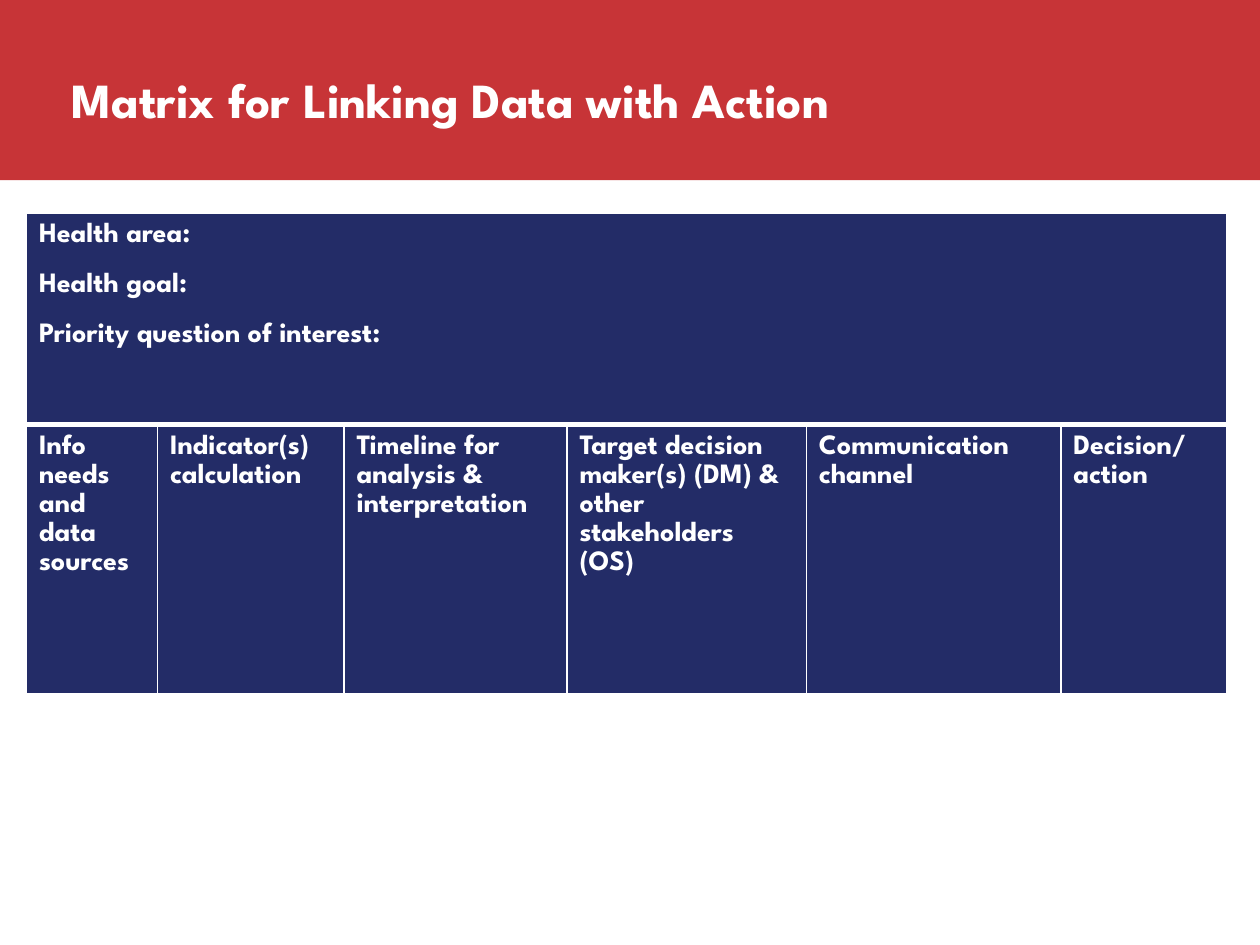
from lxml import etree
from pptx import Presentation
from pptx.dml.color import RGBColor
from pptx.enum.shapes import MSO_SHAPE
from pptx.enum.text import MSO_ANCHOR
from pptx.oxml.ns import qn
from pptx.util import Pt

RECTANGLE = MSO_SHAPE.RECTANGLE
MIDDLE = MSO_ANCHOR.MIDDLE

FONT = "League Spartan"
COLORS = {"red": "C73437", "navy": "232C67", "white": "FFFFFF"}

TITLE = "Matrix for Linking Data with Action"
TOPICS = ["Health area:", "Health goal:", "Priority question of interest:"]
HEADINGS = [
    "Info needs and data sources",
    "Indicator(s) calculation",
    "Timeline for analysis & interpretation",
    "Target decision maker(s) (DM) & other stakeholders (OS)",
    "Communication channel",
    "Decision/ action",
]
COLUMN_WIDTHS = [74.9, 106.6, 127.4, 136.8, 145.4, 95]
ROW_HEIGHTS = [121, 154.8]


def color(name):
    return RGBColor.from_string(COLORS[name])


def write(text_frame, lines, size, **paragraph_format):
    for index, line in enumerate(lines):
        paragraph = text_frame.paragraphs[0] if index == 0 else text_frame.add_paragraph()
        for name, value in paragraph_format.items():
            setattr(paragraph, name, value)
        run = paragraph.add_run()
        run.text = line
        for name, value in {"name": FONT, "size": Pt(size), "bold": True}.items():
            setattr(run.font, name, value)
        run.font.color.rgb = color("white")


def add_banner(slide, left, top, width, height):
    banner = slide.shapes.add_shape(RECTANGLE, Pt(left), Pt(top), Pt(width), Pt(height))
    banner.shadow.inherit = False
    banner.fill.solid()
    banner.fill.fore_color.rgb = color("red")
    banner.line.fill.background()

    title = slide.shapes.add_textbox(Pt(left + 48.2), Pt(top + 13), Pt(611.3), Pt(90))
    title.text_frame.word_wrap = True
    title.text_frame.vertical_anchor = MIDDLE
    write(title.text_frame, [TITLE], 28)


def style_cell(cell, border_widths):
    properties = cell._tc.get_or_add_tcPr()
    for side, width in border_widths.items():
        border = etree.SubElement(properties, qn(f"a:ln{side}"), w=str(Pt(width)))
        fill = etree.SubElement(border, qn("a:solidFill"))
        etree.SubElement(fill, qn("a:srgbClr"), val=COLORS["white"])
    cell.fill.solid()
    cell.fill.fore_color.rgb = color("navy")


def add_matrix(slide, left, top):
    frame = slide.shapes.add_table(
        len(ROW_HEIGHTS), len(COLUMN_WIDTHS), Pt(left), Pt(top),
        Pt(sum(COLUMN_WIDTHS)), Pt(sum(ROW_HEIGHTS)))
    table = frame.table
    table.first_row = table.horz_banding = False
    for column, width in zip(table.columns, COLUMN_WIDTHS):
        column.width = Pt(width)
    for row, height in zip(table.rows, ROW_HEIGHTS):
        row.height = Pt(height)

    for column in range(len(COLUMN_WIDTHS)):
        style_cell(table.cell(0, column), {"L": 1, "R": 1, "T": 1, "B": 3})
        style_cell(table.cell(1, column), {"L": 1, "R": 1, "T": 3, "B": 3})

    topic_cell = table.cell(0, 0)
    topic_cell.merge(table.cell(0, len(COLUMN_WIDTHS) - 1))
    write(topic_cell.text_frame, TOPICS, 16,
          line_spacing=1.14, space_before=Pt(6), space_after=Pt(6))
    for column, heading in enumerate(HEADINGS):
        write(table.cell(1, column).text_frame, [heading], 16,
              line_spacing=1.14, space_before=Pt(3), space_after=Pt(3))


def main():
    presentation = Presentation()
    presentation.slide_width = Pt(720)
    presentation.slide_height = Pt(540)
    slide = presentation.slides.add_slide(presentation.slide_layouts[6])
    add_banner(slide, -14.4, -1.5, 739.4, 104.4)
    add_matrix(slide, 15.1, 121.7)
    presentation.save("out.pptx")


if __name__ == "__main__":
    main()
